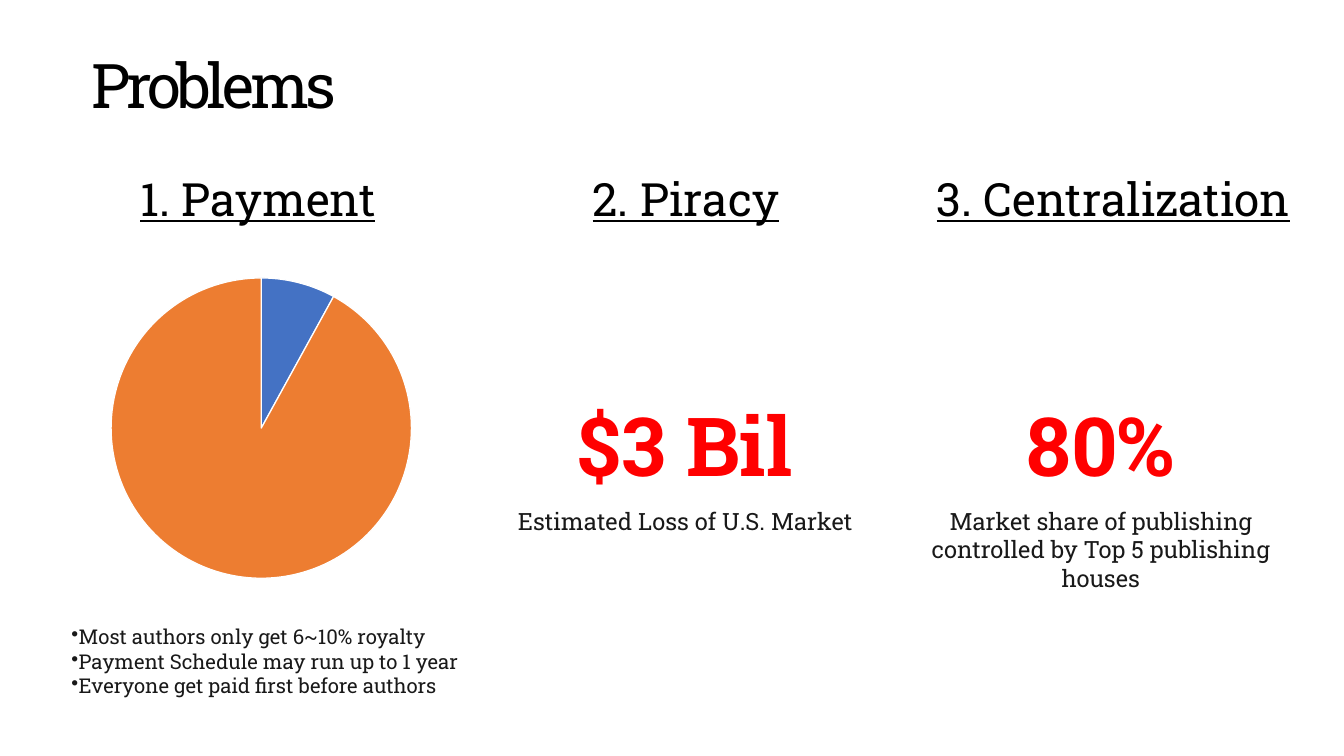
from dataclasses import dataclass

from lxml import etree
from pptx import Presentation
from pptx.chart.data import CategoryChartData
from pptx.dml.color import RGBColor
from pptx.enum.chart import XL_CHART_TYPE
from pptx.enum.text import MSO_ANCHOR, MSO_AUTO_SIZE, PP_ALIGN
from pptx.oxml.ns import qn
from pptx.util import Inches, Pt

PIE = XL_CHART_TYPE.PIE
TOP, MIDDLE = MSO_ANCHOR.TOP, MSO_ANCHOR.MIDDLE
LEFT, CENTER = PP_ALIGN.LEFT, PP_ALIGN.CENTER
GROW = MSO_AUTO_SIZE.SHAPE_TO_FIT_TEXT

TITLE = "Problems"
HEADINGS = ["1. Payment", "2. Piracy", "3. Centralization"]
STATS = [
    ("$3 Bil", "Estimated Loss of U.S. Market"),
    ("80%", "Market share of publishing controlled by Top 5 publishing houses"),
]
BULLETS = [
    "Most authors only get 6~10% royalty",
    "Payment Schedule may run up to 1 year",
    "Everyone get paid first before authors",
]
ROYALTY = [("1", 8), ("2", 92)]


@dataclass(frozen=True)
class Theme:
    font: str = "Roboto Slab"
    chart_font: str = "Calibri"
    black: str = "000000"
    ink: str = "191919"
    red: str = "FF0000"
    white: str = "FFFFFF"
    slices: tuple = ("4472C4", "ED7D31")
    title: float = 72.5
    heading: float = 54
    stat: float = 96
    caption: float = 28
    bullet: float = 24
    chart: float = 44
    stat_gap: float = 16.5


T = Theme()
WIDTH, HEIGHT = 21.99, 12.37
MARGIN = 1.17
HEADING_PITCH, HEADING_TOP, HEADING_SIZE = 7.0, 2.77, (6.1, 1.65)
STAT_LEFT, STAT_PITCH, STAT_TOP, STAT_SIZE = 7.82, 6.8, 6.44, (6.78, 2.5)


def place(sp, x, y, w, h):
    sp.left, sp.top, sp.width, sp.height = map(Inches, (x, y, w, h))


def frame(sp, anchor=TOP):
    tf = sp.text_frame
    tf.word_wrap = True
    tf.auto_size = GROW
    tf.vertical_anchor = anchor
    tf.margin_left = tf.margin_right = tf.margin_bottom = 0
    tf.margin_top = Inches(0.02)
    return tf


def text_box(x, y, w, h):
    return frame(s.shapes.add_textbox(*map(Inches, (x, y, w, h))))


def write(p, text, size, color, align=LEFT, before=0, bold=False,
          underline=False, bullet=None, indent=0):
    p.alignment = align
    p.space_before = Pt(before)
    pPr = p._p.get_or_add_pPr()
    pPr.set("marL", "0")
    pPr.set("indent", str(Inches(indent)))
    if bullet:
        etree.SubElement(pPr, qn("a:buChar")).set("char", bullet)
    else:
        etree.SubElement(pPr, qn("a:buNone"))
    r = p.add_run()
    r.text = text
    r.font.name = T.font
    r.font.size = Pt(size)
    r.font.bold = bold
    r.font.underline = underline
    r.font.color.rgb = RGBColor.from_string(color)
    return r


def add_paragraph(tf, i):
    return tf.add_paragraph() if i else tf.paragraphs[0]


def add_title():
    sp = s.shapes.title
    place(sp, 1.49, 0.75, 18.52, 1.23)
    r = write(frame(sp, MIDDLE).paragraphs[0], TITLE, T.title, T.black)
    r.font._element.set("spc", "-470")


def add_headings():
    for i, heading in enumerate(HEADINGS):
        box = (MARGIN + i * HEADING_PITCH, HEADING_TOP, *HEADING_SIZE)
        if i:
            tf = text_box(*box)
        else:
            body = s.placeholders[1]
            place(body, *box)
            tf = frame(body)
        write(tf.paragraphs[0], heading, T.heading, T.black, CENTER, underline=True)


def add_stats():
    for i, (figure, caption) in enumerate(STATS):
        tf = text_box(STAT_LEFT + i * STAT_PITCH, STAT_TOP, *STAT_SIZE)
        write(tf.paragraphs[0], figure, T.stat, T.red, CENTER, bold=True)
        write(tf.add_paragraph(), caption, T.caption, T.ink, CENTER, T.stat_gap)


def add_bullets():
    tf = text_box(MARGIN, 10.2, 7.24, 1.23)
    for i, line in enumerate(BULLETS):
        write(add_paragraph(tf, i), line, T.bullet, T.ink, bullet="•", indent=-0.41)


def add_royalty_pie():
    data = CategoryChartData()
    data.categories = [name for name, _ in ROYALTY]
    data.add_series("Series 1", [value for _, value in ROYALTY])
    box = map(Inches, (0.73, 4.41, 7.09, 5.19))
    chart = s.shapes.add_chart(PIE, *box, data).chart
    chart.has_legend = False
    chart.has_title = False
    chart.font.name = T.chart_font
    chart.font.size = Pt(T.chart)
    chart.font.color.rgb = RGBColor.from_string(T.black)
    plot = chart.plots[0]
    plot.vary_by_categories = True
    for i, color in enumerate(T.slices):
        fmt = plot.series[0].points[i].format
        fmt.fill.solid()
        fmt.fill.fore_color.rgb = RGBColor.from_string(color)
        fmt.line.color.rgb = RGBColor.from_string(T.white)
        fmt.line.width = Pt(1.5)


prs = Presentation()
prs.slide_width, prs.slide_height = Inches(WIDTH), Inches(HEIGHT)
s = prs.slides.add_slide(prs.slide_layouts[1])
add_title()
add_headings()
add_bullets()
add_stats()
add_royalty_pie()
prs.save("out.pptx")
